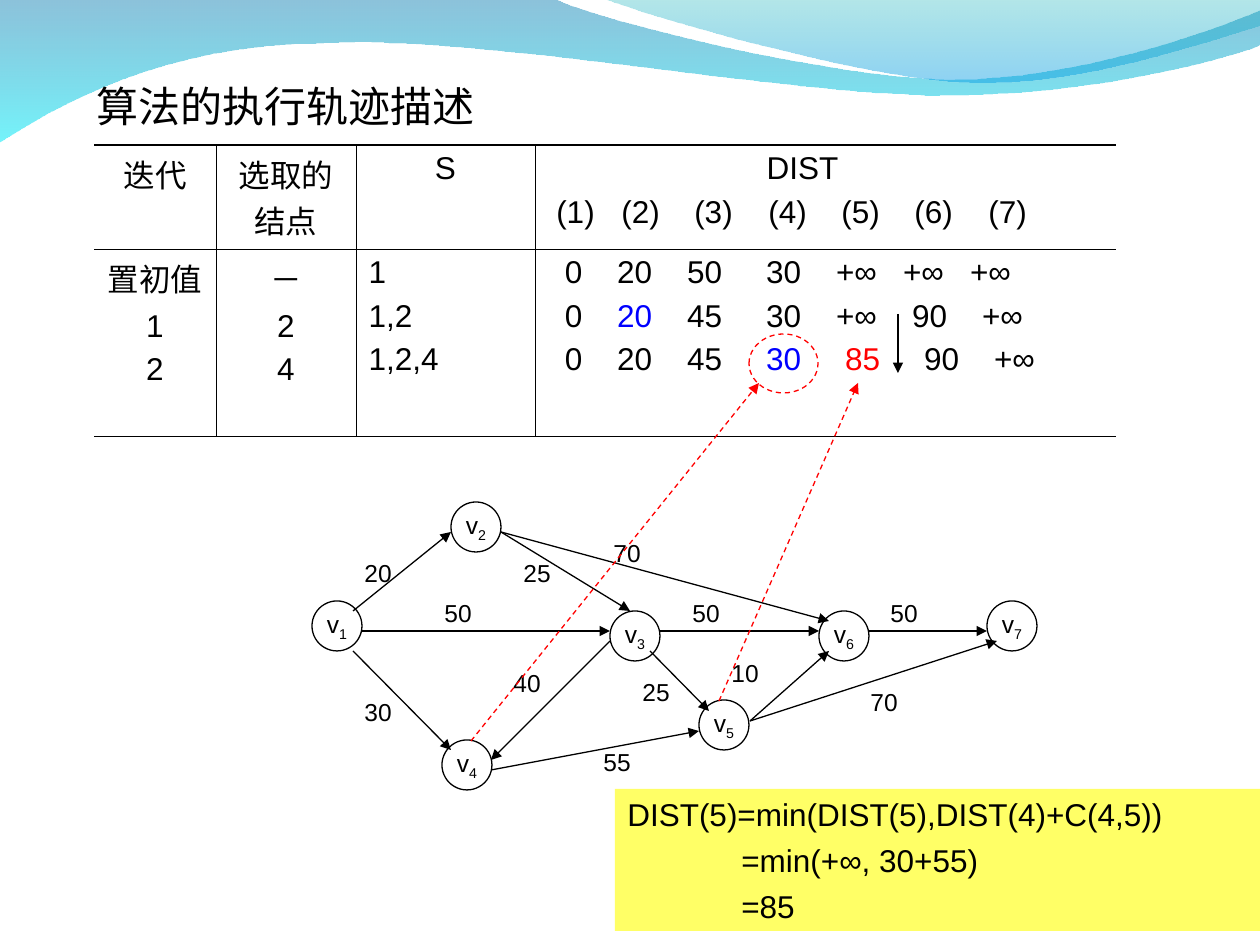
from dataclasses import dataclass
from itertools import groupby

from lxml import etree
from pptx import Presentation
from pptx.dml.color import RGBColor
from pptx.enum.dml import MSO_LINE
from pptx.enum.shapes import MSO_CONNECTOR, MSO_SHAPE
from pptx.enum.text import MSO_ANCHOR, PP_ALIGN
from pptx.oxml.ns import qn
from pptx.util import Pt

STRAIGHT = MSO_CONNECTOR.STRAIGHT
OVAL, RECTANGLE = MSO_SHAPE.OVAL, MSO_SHAPE.RECTANGLE
DASH = MSO_LINE.DASH
LEFT, CENTER = PP_ALIGN.LEFT, PP_ALIGN.CENTER
TOP, MIDDLE = MSO_ANCHOR.TOP, MSO_ANCHOR.MIDDLE
SCALE = 914400 / 126  # EMU per px


@dataclass(frozen=True)
class Theme:
    ink: str = "000000"
    chosen: str = "0000FF"
    updated: str = "FF0000"
    note: str = "FFFF66"
    wave: tuple = (("0079AF", 45), ("00EBF8", 55))
    crest: tuple = (("00ADB6", 30), ("009BE5", 45))
    font: str = "Arial"
    title_font: str = "TeX Gyre Pagella"
    title: int = 24
    body: int = 18
    label: int = 14
    line: float = 0.75
    thick: float = 1.08
    thin: float = 0.45


THEME = Theme()

# Tab centres are px from the left of the cell's text
HEADER_TABS = [28, 93, 166, 240, 313, 386, 460]
DIST_ROWS = [
    ("0 20 50 30 +∞ +∞ +∞", [26, 87, 157, 236, 309, 376, 443], {}),
    ("0 20 45 30 +∞ 90 +∞", [26, 87, 157, 236, 309, 382, 455], {1: THEME.chosen}),
    ("0 20 45 30 85 90 +∞", [26, 87, 157, 236, 315, 394, 467],
     {3: THEME.chosen, 4: THEME.updated}),
]
COLUMN_WIDTHS = [122, 140, 179, 581]
ROW_HEIGHTS = [104, 187]

NODE_SIZE = 50
NODES = {1: (0, 99), 2: (139, 0), 3: (298, 109), 4: (130, 238),
         5: (387, 198), 6: (507, 109), 7: (675, 99)}
# Start, end, weight, weight position
EDGES = [
    ((41, 109), (139, 30), "20", (40, 50)),
    ((41, 149), (139, 248), "30", (40, 189)),
    ((50, 129), (298, 129), "50", (120, 90)),
    ((189, 30), (318, 109), "25", (199, 50)),
    ((189, 30), (517, 119), "70", (289, 30)),
    ((298, 139), (179, 258), "40", (189, 160)),
    ((338, 149), (397, 209), "25", (318, 169)),
    ((348, 129), (507, 129), "50", (368, 90)),
    ((179, 268), (387, 229), "55", (279, 239)),
    ((438, 219), (517, 149), "10", (407, 150)),
    ((438, 219), (685, 139), "70", (546, 179)),
    ((556, 129), (675, 129), "50", (566, 90)),
]

# Six numbers are a cubic curve, two are a straight line
WAVE = [(0, -1), (554, -1), (600, 21, 837, 79, 955, 79), (1075, 79, 1207, 33, 1260, 11),
        (1261, 45), (1239, 55, 1096, 96, 940, 95), (784, 95, 481, 35, 324, 43),
        (163, 44, 58, 105, -1, 142)]
CREST = [(604, -1), (641, 14, 859, 78, 969, 82), (1079, 87, 1211, 40, 1260, 26), (1260, 0)]


def px(value):
    return round(value * SCALE)


def color(code):
    return RGBColor.from_string(code)


def format_paragraph(paragraph, size, font=THEME.font, align=LEFT, before=0, tabs=()):
    properties = paragraph._p.get_or_add_pPr()
    if tabs:
        tab_list = etree.SubElement(properties, qn("a:tabLst"))
        for position in tabs:
            etree.SubElement(tab_list, qn("a:tab"), pos=str(px(position)), algn="ctr")
    paragraph.alignment = align
    paragraph.space_before = Pt(before)
    paragraph.font.name = font
    paragraph.font.size = Pt(size)
    paragraph.font.color.rgb = color(THEME.ink)


def add_text(shapes, left, top, width, height, text, size, font=THEME.font, before=0):
    box = shapes.add_textbox(px(left), px(top), px(width), px(height))
    box.text_frame.word_wrap = True
    paragraph = box.text_frame.paragraphs[0]
    paragraph.text = text
    format_paragraph(paragraph, size, font, before=before)


def add_plain_shape(shapes, kind, left, top, width, height):
    shape = shapes.add_shape(kind, px(left), px(top), px(width), px(height))
    shape.shadow.inherit = False
    shape.fill.background()
    shape.line.width = Pt(THEME.line)
    shape.line.color.rgb = color(THEME.ink)
    return shape


def add_arrow(shapes, left, top, start, end, ink=THEME.ink, dash=None):
    arrow = shapes.add_connector(STRAIGHT, px(left + start[0]), px(top + start[1]),
                                 px(left + end[0]), px(top + end[1]))
    arrow.line.color.rgb = color(ink)
    arrow.line.width = Pt(THEME.line)
    if dash:
        arrow.line.dash_style = dash
    properties = arrow._element.spPr
    etree.SubElement(properties.find(qn("a:ln")), qn("a:tailEnd"), type="triangle")
    etree.SubElement(properties, qn("a:effectLst"))


def add_wave(shapes, left, top, outline, stops):
    ends = [segment[-2:] for segment in outline]
    builder = shapes.build_freeform(*ends[0], scale=SCALE)
    builder.add_line_segments(ends[1:], close=True)
    shape = builder.convert_to_shape(px(left), px(top))
    # Turn the straight segments that have control points into curves
    origin_x, origin_y = (min(values) for values in zip(*ends))
    lines = list(shape._element.iter(qn("a:lnTo")))
    for line, segment in zip(lines, outline[1:]):
        if len(segment) == 6:
            curve = etree.Element(qn("a:cubicBezTo"))
            for x, y in zip(segment[::2], segment[1::2]):
                etree.SubElement(curve, qn("a:pt"), x=str(x - origin_x), y=str(y - origin_y))
            line.getparent().replace(line, curve)
    shape.shadow.inherit = False
    shape.line.fill.background()
    shape.fill.gradient()
    shape.fill.gradient_angle = 270
    for stop, (code, _) in zip(shape.fill.gradient_stops, stops):
        stop.color.rgb = color(code)
    for element, (_, opacity) in zip(shape._element.spPr.iter(qn("a:srgbClr")), stops):
        etree.SubElement(element, qn("a:alpha"), val=str(opacity * 1000))


def set_border(cell, side, width):
    line = etree.SubElement(cell._tc.get_or_add_tcPr(), qn(f"a:ln{side}"), w=str(Pt(width)))
    if width:
        fill = etree.SubElement(line, qn("a:solidFill"))
        etree.SubElement(fill, qn("a:srgbClr"), val=THEME.ink)
    else:
        etree.SubElement(line, qn("a:noFill"))


def fill_cell(cell, lines, align):
    """Each line is (text, tab centres, colours by tab column)."""
    for index, (text, tabs, colors) in enumerate(lines):
        frame = cell.text_frame
        paragraph = frame.add_paragraph() if index else frame.paragraphs[0]
        format_paragraph(paragraph, THEME.body, align=align, before=4.5, tabs=tabs)
        words = enumerate(text.split())
        for code, group in groupby(words, lambda item: colors.get(item[0])):
            run = paragraph.add_run()
            run.text = "".join(f"\t{word}" if tabs else word for _, word in group)
            if code:
                run.font.color.rgb = color(code)


def add_trace_table(shapes, left, top):
    table = shapes.add_table(2, 4, px(left), px(top), px(sum(COLUMN_WIDTHS)),
                             px(sum(ROW_HEIGHTS))).table
    table.first_row = table.horz_banding = False
    for column, width in zip(table.columns, COLUMN_WIDTHS):
        column.width = px(width)
    for row, height in zip(table.rows, ROW_HEIGHTS):
        row.height = px(height)
    texts = [["迭代", "选取的结点", "S"], ["置初值 1 2", "－ 2 4", "1 1,2 1,2,4"]]
    dist = [[("DIST", [255], {}), ("(1) (2) (3) (4) (5) (6) (7)", HEADER_TABS, {})], DIST_ROWS]
    for r, row in enumerate(texts):
        contents = [[(word, (), {}) for word in text.split()] for text in row] + [dist[r]]
        for c, lines in enumerate(contents):
            cell = table.cell(r, c)
            fill_cell(cell, lines, CENTER if c < 2 or (r, c) == (0, 2) else LEFT)
            set_border(cell, "L", THEME.thin if c else 0)
            set_border(cell, "R", THEME.thin if c < 3 else 0)
            set_border(cell, "T", THEME.thin if r else THEME.thick)
            set_border(cell, "B", THEME.thin)
            cell.fill.background()


def add_graph(shapes, left, top):
    graph = shapes.add_group_shape().shapes
    for number, (x, y) in NODES.items():
        node = add_plain_shape(graph, OVAL, left + x, top + y, NODE_SIZE, NODE_SIZE)
        node.text_frame.word_wrap = False
        node.text_frame.vertical_anchor = MIDDLE
        paragraph = node.text_frame.paragraphs[0]
        format_paragraph(paragraph, THEME.label, align=CENTER)
        paragraph.add_run().text = "v"
        subscript = paragraph.add_run()
        subscript.text = str(number)
        subscript._r.get_or_add_rPr().set("baseline", "-25000")
    for start, end, weight, (x, y) in EDGES:
        add_arrow(graph, left, top, start, end)
        add_text(graph, left + x, top + y, 59, 43, weight, THEME.label)


def add_update_marks(shapes, left, top):
    add_arrow(shapes, left, top, (0, 427), (288, 69), THEME.updated, DASH)
    ring = add_plain_shape(shapes, OVAL, left + 278, top + 20, 69, 59)
    ring.line.color.rgb = color(THEME.updated)
    ring.line.dash_style = DASH
    add_arrow(shapes, left, top, (427, 0), (427, 59))
    add_arrow(shapes, left, top, (248, 387), (387, 69), THEME.updated, DASH)


def add_formula_note(shapes, left, top, width, height):
    note = add_plain_shape(shapes, RECTANGLE, left, top, width, height)
    note.fill.solid()
    note.fill.fore_color.rgb = color(THEME.note)
    note.line.fill.background()
    frame = note.text_frame
    frame.word_wrap = True
    frame.vertical_anchor = TOP
    lines = ["DIST(5)=min(DIST(5),DIST(4)+C(4,5))", "=min(+∞, 30+55)", "=85"]
    for index, text in enumerate(lines):
        paragraph = frame.add_paragraph() if index else frame.paragraphs[0]
        paragraph.text = text
        format_paragraph(paragraph, THEME.body, before=4.5)
        if index:
            paragraph._p.get_or_add_pPr().set("marL", str(px(114)))


def main():
    presentation = Presentation()
    presentation.slide_width, presentation.slide_height = px(1260), px(945)
    shapes = presentation.slides.add_slide(presentation.slide_layouts[6]).shapes
    # Waves along the top edge
    add_wave(shapes, 0, 0, WAVE, THEME.wave)
    add_wave(shapes, 0, 0, CREST, THEME.crest)
    # Title, trace table and graph
    add_text(shapes, 84, 74, 557, 63, "算法的执行轨迹描述", THEME.title, THEME.title_font, 6)
    add_trace_table(shapes, 94, 145)
    add_graph(shapes, 312, 502)
    # How the distance to v5 is updated
    add_update_marks(shapes, 471, 314)
    add_formula_note(shapes, 615, 789, 645, 142)
    presentation.save("out.pptx")


if __name__ == "__main__":
    main()
